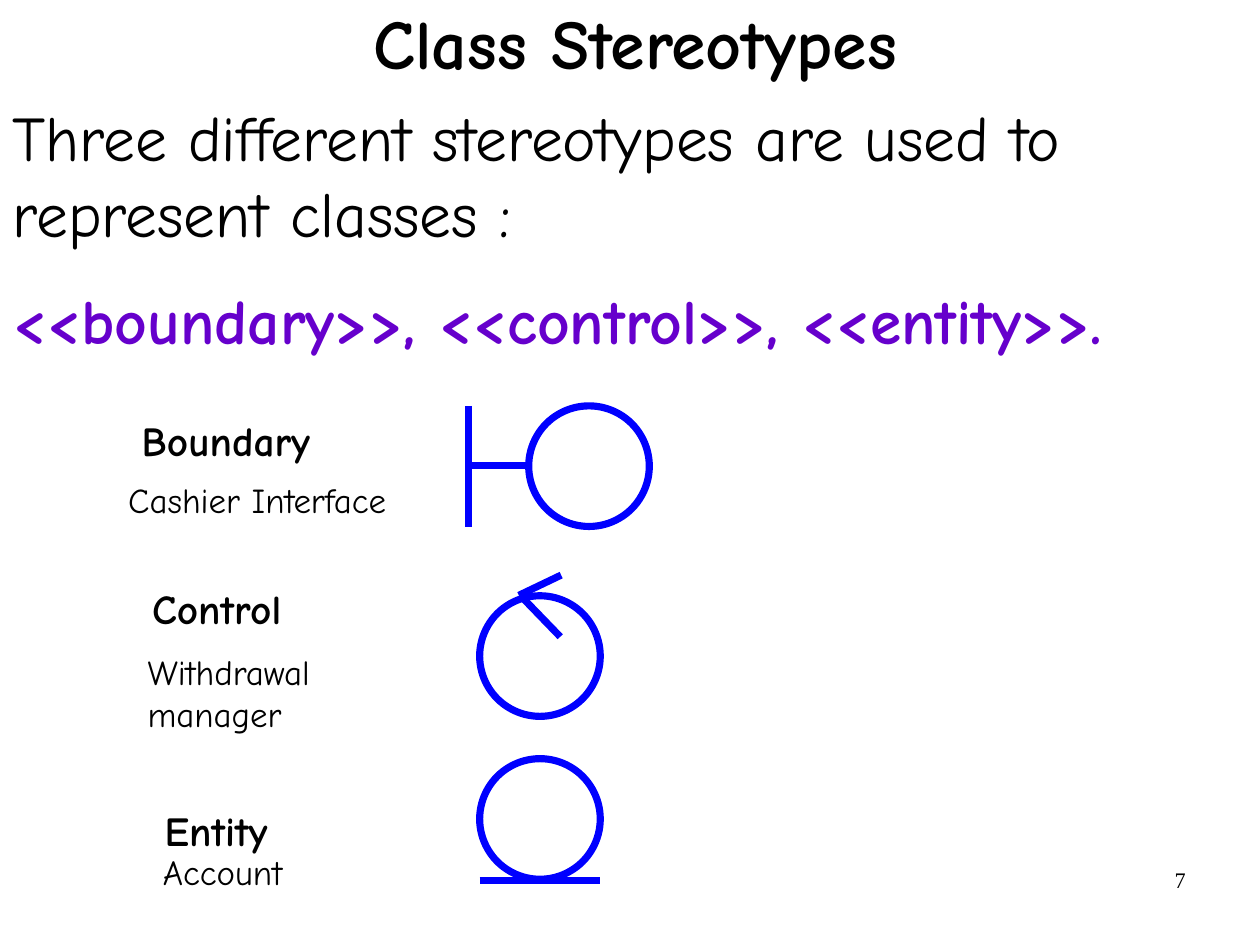
import pptx
import pptx.util
import pptx.dml.color
import pptx.enum.shapes
import pptx.enum.text
import pptx.oxml.ns
import lxml.etree

Cm = pptx.util.Cm
Pt = pptx.util.Pt
ALIGN = pptx.enum.text.PP_ALIGN
BLACK = pptx.dml.color.RGBColor(0x00, 0x00, 0x00)
BLUE = pptx.dml.color.RGBColor(0x00, 0x00, 0xFF)
PURPLE = pptx.dml.color.RGBColor(0x66, 0x00, 0xCC)
CIRCLE_SIZE = 2.68
SYMBOL_LINE = Pt(4.5)

deck = pptx.Presentation()
deck.slide_width = Cm(28)
deck.slide_height = Cm(21)
slide = deck.slides.add_slide(deck.slide_layouts[6])


def add_text(area, lines, size, bold=False, align=ALIGN.LEFT, font="Comic Neue"):
    frame = slide.shapes.add_textbox(*[Cm(length) for length in area]).text_frame
    frame.word_wrap = True
    frame.margin_left = frame.margin_right = Cm(0.28)
    frame.margin_top = frame.margin_bottom = Cm(0.15)
    frame.text = lines
    for paragraph in frame.paragraphs:
        paragraph.alignment = align
        for run in paragraph.runs:
            run.font.name = font
            run.font.size = Pt(size)
            run.font.bold = bold
            run.font.color.rgb = BLACK
    return frame


page_number = add_text(
    (20.07, 19.12, 6.53, 1.45), "7", 14, align=ALIGN.RIGHT, font="Times New Roman"
)
page_number.margin_left = page_number.margin_right = Cm(0.25)
page_number.margin_top = page_number.margin_bottom = Cm(0.13)

title = add_text((3.2, -0.5, 21.84, 3.02), "Class Stereotypes", 44, True, ALIGN.CENTER)
title.margin_left = title.margin_right = 0
title.margin_top = title.margin_bottom = 0
title.vertical_anchor = pptx.enum.text.MSO_ANCHOR.MIDDLE
title.paragraphs[0].line_spacing = 0.94

intro = add_text(
    (0, 2.03, 28, 6.05),
    "Three different stereotypes are used to represent classes :\n"
    "<<boundary>>, <<control>>, <<entity>>.",
    40,
)
keywords = intro.paragraphs[1]
keywords.space_before = Pt(19.4)
keywords.runs[0].font.bold = True
keywords.runs[0].font.color.rgb = PURPLE

stereotypes = [
    ("Boundary", (2.87, 9.07), 9.45, "Cashier Interface", (2.57, 10.49), 18.54,
     (11.75, 9.02), [(10.41, 9.02, 10.41, 11.7), (10.41, 10.35, 11.72, 10.35)]),
    ("Control", (3.1, 12.81), 9.45, "Withdrawal\nmanager", (3, 14.3), 10.8,
     (10.66, 13.24), [(12.47, 12.78, 11.53, 13.23), (11.56, 13.23, 12.45, 14.15)]),
    ("Entity", (3.38, 17.74), 9.45, "Account", (3.34, 18.75), 8.53,
     (10.66, 16.86), [(10.66, 19.56, 13.34, 19.56)]),
]

for name, name_at, name_width, example, example_at, example_width, circle_at, strokes in stereotypes:
    symbol = slide.shapes.add_group_shape()
    circle = symbol.shapes.add_shape(
        pptx.enum.shapes.MSO_SHAPE.OVAL,
        Cm(circle_at[0]), Cm(circle_at[1]), Cm(CIRCLE_SIZE), Cm(CIRCLE_SIZE),
    )
    circle.shadow.inherit = False
    circle.fill.background()
    circle.line.color.rgb = BLUE
    circle.line.width = SYMBOL_LINE
    for stroke_ends in strokes:
        stroke = symbol.shapes.add_connector(
            pptx.enum.shapes.MSO_CONNECTOR.STRAIGHT,
            *[Cm(length) for length in stroke_ends],
        )
        stroke.line.color.rgb = BLUE
        stroke.line.width = SYMBOL_LINE
        lxml.etree.SubElement(
            stroke._element.spPr, pptx.oxml.ns.qn("a:effectLst")
        )
    example_height = 1.07 * len(example.split("\n"))
    add_text((*example_at, example_width, example_height), example, 22)
    add_text((*name_at, name_width, 1.37), name, 26, True)

deck.save("out.pptx")
